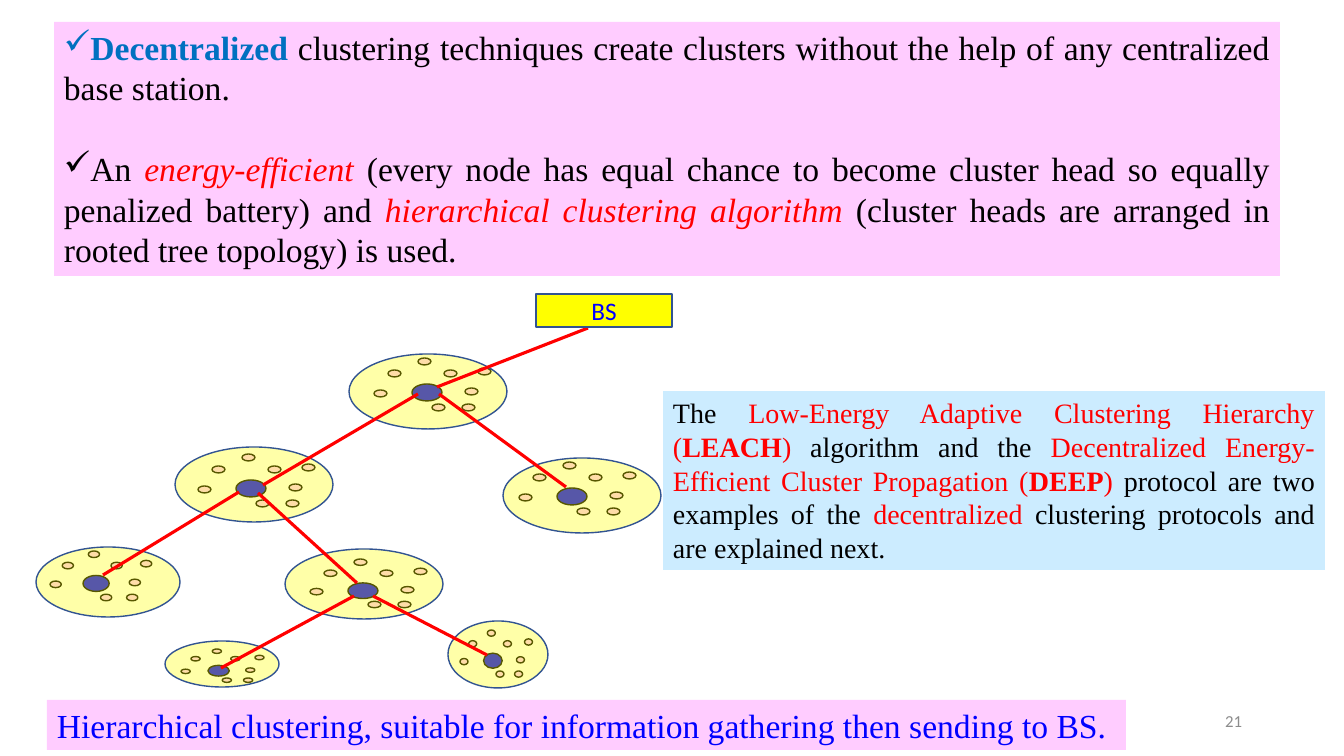
from lxml.etree import SubElement
from pptx import Presentation
from pptx.dml.color import RGBColor
from pptx.enum.shapes import MSO_CONNECTOR, MSO_SHAPE
from pptx.enum.text import MSO_ANCHOR, PP_ALIGN
from pptx.oxml.ns import qn
from pptx.util import Emu, Pt

SLIDE_SIZE = (1344, 756)
PX = 914400 / 100.8

BLACK, RED, BLUE = "000000", "FF0000", "0000FF"
PINK, YELLOW, OUTLINE = "FFCCFF", "FFFF00", "325491"
SERIF, SANS = "Times New Roman", "Calibri"

# Runs: (text, colour, optional format values)
BOLD, ITALIC = {"bold": True}, {"italic": True}
TECHNIQUES = [
    [("Decentralized", "0070C0", BOLD),
     (" clustering techniques create clusters without the help of any centralized base station.", BLACK)],
    [("An ", BLACK),
     ("energy-efficient ", RED, ITALIC),
     ("(every node has equal chance to become cluster head so equally penalized battery) and ", BLACK),
     ("hierarchical clustering algorithm", RED, ITALIC),
     (" (cluster heads are arranged in rooted tree topology) is used.", BLACK)],
]
PROTOCOLS = [[
    ("The ", BLACK),
    ("Low-Energy Adaptive Clustering Hierarchy (", RED),
    ("LEACH", RED, BOLD),
    (") ", RED),
    ("algorithm and the ", BLACK),
    ("Decentralized Energy-Efficient Cluster Propagation (", RED),
    ("DEEP", RED, BOLD),
    (") ", RED),
    ("protocol are two examples of the ", BLACK),
    ("decentralized", RED),
    (" clustering protocols and are explained next.", BLACK),
]]
SUMMARY = [[("Hierarchical clustering, suitable for information gathering then sending to BS.", BLUE)]]
BASE_STATION = [[("BS", BLUE)]]
PAGE_NUMBER = [[("21", "8C8C8C")]]

# One cluster at full scale, measured from its leftmost and topmost nodes
HEAD = (38, 26, 30, 17)
NODE_SIZE = (13, 7)
NODES = [(70, 12), (91, 30), (14, 12), (104, 10), (58, 46), (44, 0), (88, 46), (0, 32)]

# (boundary box, origin of the nodes, horizontal and vertical scale)
CLUSTERS = [
    ((36, 547, 144, 70), (50, 551), (0.87, 0.94)),
    ((285, 549, 158, 70), (310, 559), (1, 0.92)),
    ((503, 458, 158, 75), (519, 462), (1, 1)),
    ((175, 447, 158, 75), (198, 454), (1, 1)),
    ((349, 354, 158, 75), (374, 358), (1, 1)),
    ((448, 621, 100, 67), (460, 630), (0.62, 0.89)),
    ((165, 641, 114, 46), (181, 649), (0.71, 0.63)),
]
LINKS = [
    ((221, 668), (354, 596)), ((487, 655), (373, 596)), ((103, 575), (239, 492)),
    ((357, 583), (258, 493)), ((566, 487), (439, 394)), ((418, 394), (263, 485)),
    ((588, 328), (437, 387)),
]


def px(value):
    return Emu(round(value * PX))


def rgb(value):
    return RGBColor.from_string(value)


def add_filled(kind, box, fill, line=None, opacity=None):
    shape = slide.shapes.add_shape(kind, *map(px, box))
    shape.shadow.inherit = False
    shape.fill.solid()
    shape.fill.fore_color.rgb = rgb(fill)
    if opacity:
        colour = shape.fill._xPr.find(qn("a:solidFill"))[0]
        SubElement(colour, qn("a:alpha"), val=str(opacity * 1000))
    if line:
        shape.line.color.rgb = rgb(line)
        shape.line.width = Pt(1)
    else:
        shape.line.fill.background()
    return shape


def write(shape, paragraphs, size, font=SERIF, align=PP_ALIGN.LEFT,
          anchor=MSO_ANCHOR.TOP, wrap=True, bullet=None, gap=0):
    frame = shape.text_frame
    frame.word_wrap = wrap
    frame.vertical_anchor = anchor
    for index, runs in enumerate(paragraphs):
        paragraph = frame.add_paragraph() if index else frame.paragraphs[0]
        if bullet:
            SubElement(paragraph._p.get_or_add_pPr(), qn("a:buChar"), char=bullet)
        paragraph.alignment = align
        if index:
            paragraph.space_before = Pt(gap)
        for text, colour, *extra in runs:
            run = paragraph.add_run()
            run.text = text
            run.font.color.rgb = rgb(colour)
            values = {"name": font, "size": Pt(size)}
            for styles in extra:
                values.update(styles)
            for name, value in values.items():
                setattr(run.font, name, value)


def add_cluster(boundary, origin, scale):
    (left, top), (across, down) = origin, scale
    parts = [(HEAD, BLUE)] + [((*node, *NODE_SIZE), PINK) for node in NODES]
    for (x, y, width, height), fill in parts:
        box = (left + x * across, top + y * down, width * across, height * down)
        add_filled(MSO_SHAPE.OVAL, box, fill, BLACK)
    add_filled(MSO_SHAPE.OVAL, boundary, YELLOW, OUTLINE, opacity=34)


def add_link(start, end):
    link = slide.shapes.add_connector(MSO_CONNECTOR.STRAIGHT, *map(px, start + end))
    link.line.color.rgb = rgb(RED)
    link.line.width = Pt(2.25)
    SubElement(link._element.spPr, qn("a:effectLst"))


presentation = Presentation()
presentation.slide_width, presentation.slide_height = map(px, SLIDE_SIZE)
slide = presentation.slides.add_slide(presentation.slide_layouts[6])

techniques = add_filled(MSO_SHAPE.RECTANGLE, (54, 22, 1226, 254), PINK)
write(techniques, TECHNIQUES, 24, align=PP_ALIGN.JUSTIFY, bullet="✓", gap=29)

for cluster in CLUSTERS:
    add_cluster(*cluster)
for ends in LINKS:
    add_link(*ends)

base_station = add_filled(MSO_SHAPE.RECTANGLE, (536, 294, 136, 33), YELLOW, OUTLINE)
write(base_station, BASE_STATION, 18, SANS, PP_ALIGN.CENTER, MSO_ANCHOR.MIDDLE)

summary = add_filled(MSO_SHAPE.RECTANGLE, (47, 700, 1079, 50), PINK)
write(summary, SUMMARY, 24, wrap=False)

protocols = add_filled(MSO_SHAPE.RECTANGLE, (663, 391, 662, 179), "CCECFF")
write(protocols, PROTOCOLS, 20, align=PP_ALIGN.JUSTIFY)

page_number = slide.shapes.add_textbox(*map(px, (950, 701, 302, 40)))
write(page_number, PAGE_NUMBER, 12, SANS, PP_ALIGN.RIGHT, MSO_ANCHOR.MIDDLE)

presentation.save("out.pptx")
